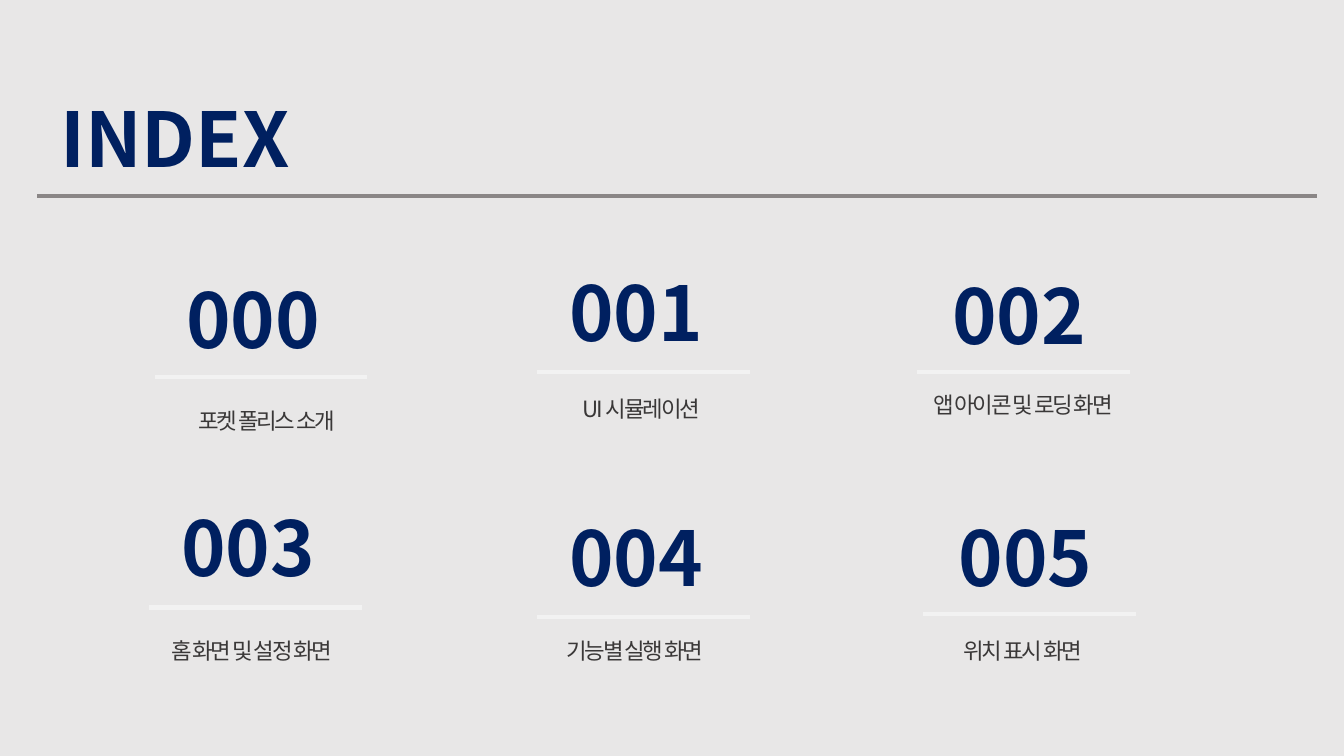
"""Build the INDEX slide: a title over a rule and six numbered entries."""
from dataclasses import dataclass

from lxml.etree import SubElement
from pptx import Presentation
from pptx.dml.color import RGBColor
from pptx.enum.shapes import MSO_CONNECTOR as Connector
from pptx.enum.text import MSO_AUTO_SIZE as AutoSize, PP_ALIGN as Align
from pptx.oxml.ns import qn
from pptx.slide import Slide
from pptx.util import Pt

BACKGROUND = RGBColor(0xE8, 0xE7, 0xE7)
NAVY = RGBColor(0x00, 0x20, 0x60)
CHARCOAL = RGBColor(0x3A, 0x38, 0x38)
GREY = RGBColor(0x8A, 0x86, 0x86)
PALE = RGBColor(0xF2, 0xF2, 0xF2)

TYPEFACE = "Noto Sans CJK KR"
HEADING = {"size": Pt(54), "bold": True, "name": TYPEFACE}
CAPTION = {"size": Pt(16), "bold": False, "name": TYPEFACE}
CAPTION_SPACING = "-150"
RULE_WIDTH = 152
NUMBER_SIZE = (142, 72.7)
CAPTION_HEIGHT = 26.6


@dataclass(frozen=True)
class Entry:
    """One numbered entry; positions are left and top in points."""

    number_at: tuple[float, float]
    rule_at: tuple[float, float]
    caption_at: tuple[float, float]
    caption: str
    caption_width: float = 164
    align: Align = Align.LEFT


ENTRIES = [
    Entry((126, 191.5), (110.4, 269.3), (134.6, 287.3), "포켓 폴리스 소개"),
    Entry((399.6, 186.5), (383.6, 265.7), (409, 278.6), "UI 시뮬레이션"),
    Entry((673.2, 188.6), (655, 265.7), (659.5, 275.8), "앱 아이콘 및 로딩 화면"),
    Entry((122.4, 354.2), (106.3, 434), (115.2, 451.4), "홈 화면 및 설정 화면"),
    Entry((399.6, 361.4), (383.6, 440.8), (371.5, 451.4), "기능별 실행 화면",
          align=Align.CENTER),
    Entry((677.5, 361.4), (659.3, 438.3), (681.1, 451.4), "위치 표시 화면",
          caption_width=99.4),
]


def add_text(page: Slide, text: str, at: tuple[float, float],
             size: tuple[float, float], style: dict, color: RGBColor,
             align: Align = Align.LEFT, spacing: str = "0") -> None:
    """Add a wrapping text box holding one styled run."""
    box = page.shapes.add_textbox(*map(Pt, at + size))
    frame = box.text_frame
    frame.word_wrap = True
    frame.auto_size = AutoSize.SHAPE_TO_FIT_TEXT
    para = frame.paragraphs[0]
    para.alignment = align
    span = para.add_run()
    span.text = text
    for key, value in style.items():
        setattr(span.font, key, value)
    span.font.color.rgb = color
    properties = span._r.get_or_add_rPr()
    properties.set("spc", spacing)
    SubElement(properties, qn("a:ea")).set("typeface", TYPEFACE)


def add_rule(page: Slide, at: tuple[float, float], width: float,
             color: RGBColor) -> None:
    """Add a horizontal rule without shadow."""
    left, top = at
    rule = page.shapes.add_connector(
        Connector.STRAIGHT, Pt(left), Pt(top), Pt(left + width), Pt(top))
    rule.line.color.rgb = color
    rule.line.width = Pt(3)
    SubElement(rule._element.spPr, qn("a:effectLst"))


def add_entry(page: Slide, number: int, entry: Entry) -> None:
    """Add the number, rule and caption of one entry."""
    add_text(page, f"{number:03}", entry.number_at, NUMBER_SIZE, HEADING, NAVY)
    add_rule(page, entry.rule_at, RULE_WIDTH, PALE)
    add_text(page, entry.caption, entry.caption_at,
             (entry.caption_width, CAPTION_HEIGHT), CAPTION, CHARCOAL,
             entry.align, CAPTION_SPACING)


def main() -> None:
    """Build and save the deck."""
    deck = Presentation()
    deck.slide_width, deck.slide_height = Pt(960), Pt(540)
    page = deck.slides.add_slide(deck.slide_layouts[6])
    fill = page.background.fill
    fill.solid()
    fill.fore_color.rgb = BACKGROUND
    add_text(page, "INDEX", (36, 62), (196.6, 72.7), HEADING, NAVY)
    add_rule(page, (26.6, 139.8), 914.4, GREY)
    for number, entry in enumerate(ENTRIES):
        add_entry(page, number, entry)
    deck.save("out.pptx")


if __name__ == "__main__":
    main()
